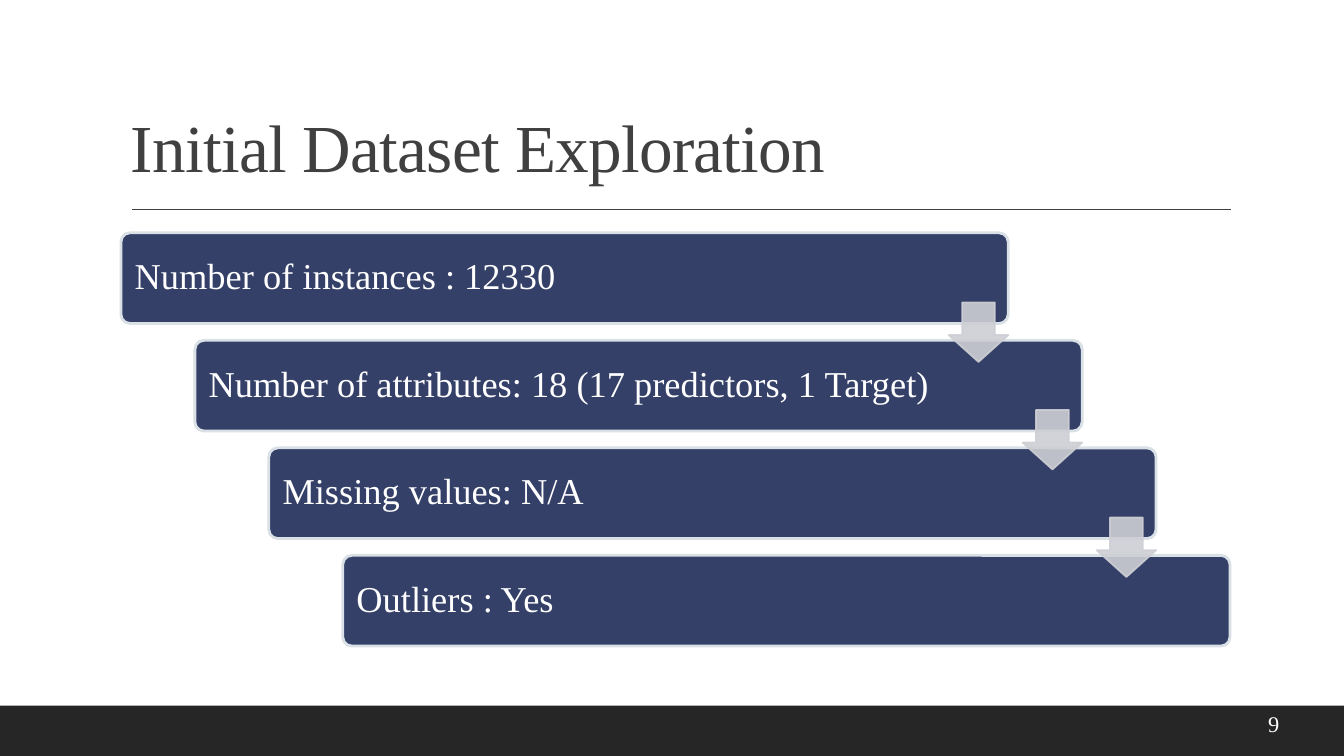
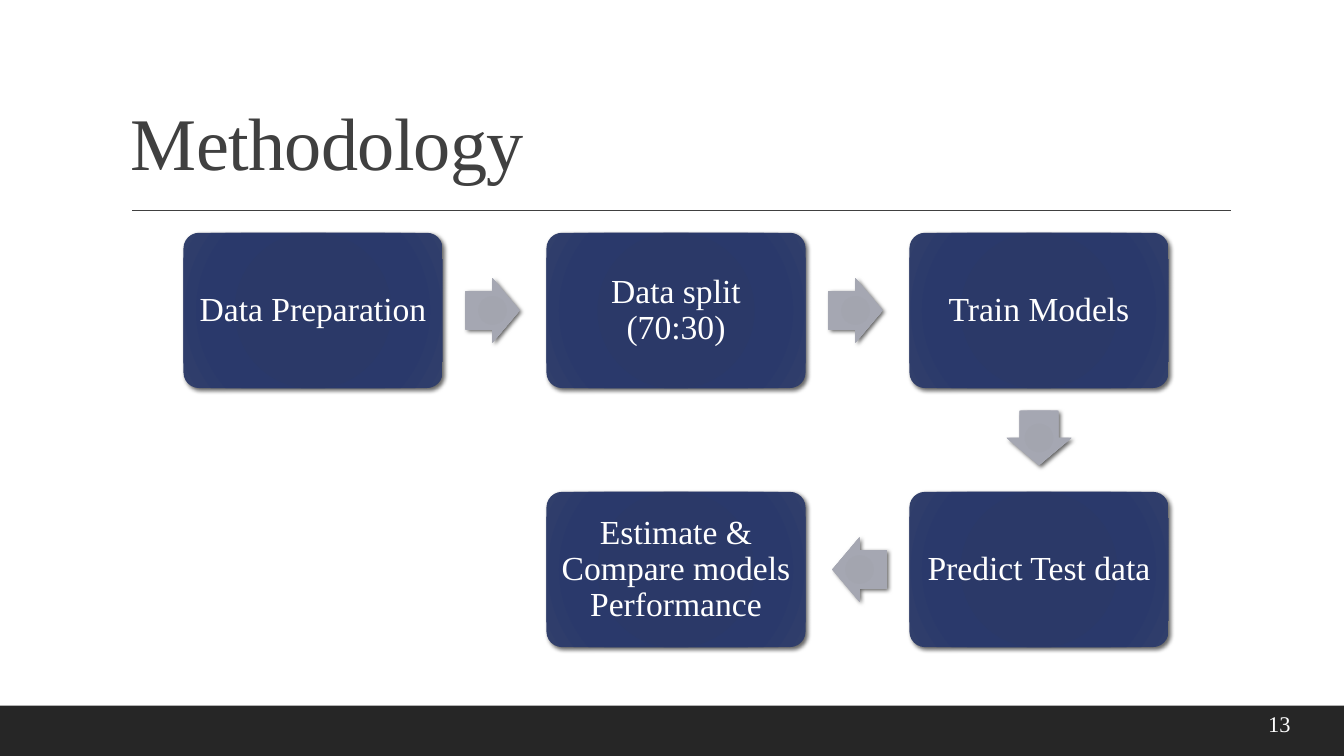
"""Build the dataset overview and the methodology flow slides."""
from dataclasses import dataclass
from itertools import pairwise
from math import atan2, cos, degrees, sin

from lxml.etree import SubElement
from pptx import Presentation
from pptx.dml.color import RGBColor
from pptx.enum.shapes import MSO_CONNECTOR, MSO_SHAPE
from pptx.enum.text import MSO_ANCHOR, PP_ALIGN
from pptx.oxml import parse_xml
from pptx.oxml.ns import nsdecls, qn
from pptx.shapes.autoshape import Shape
from pptx.slide import Slide
from pptx.util import Inches, Pt

HUES = {
    "paper": "FFFFFF",
    "ink": "404040",
    "band": "262626",
    "step": "344068",
    "edge": "D9E0E6",
    "drop": "CECFD4",
    "shade": "000000",
}
NAVY = {0: "293868", 34: "2B3968", 70: "2A396B", 100: "313F6B"}
GREY = {0: "A1A3AE", 34: "A3A5AF", 70: "A5A7B2", 100: "AEAFB9"}
FONT = "Times New Roman"
SIDES = ("margin_left", "margin_top", "margin_right", "margin_bottom")


@dataclass(frozen=True)
class Box:
    left: float
    top: float
    width: float
    height: float

    @property
    def mid(self) -> tuple[float, float]:
        return self.left + self.width / 2, self.top + self.height / 2

    def emu(self) -> tuple[int, ...]:
        return tuple(Inches(n) for n in (self.left, self.top, self.width, self.height))


@dataclass(frozen=True)
class Card:
    text: str
    col: int
    row: int

    @property
    def box(self) -> Box:
        return Box(1.82 + 3.6 * self.col, 2.31 + 2.57 * self.row, 2.57, 1.54)


STEPS = (
    "Number of instances : 12330",
    "Number of attributes: 18 (17 predictors, 1 Target)",
    "Missing values: N/A",
    "Outliers : Yes",
)
CARDS = (
    Card("Data Preparation", 0, 0),
    Card("Data split (70:30)", 1, 0),
    Card("Train Models", 2, 0),
    Card("Predict Test data", 2, 1),
    Card("Estimate & Compare models Performance", 1, 1),
)


def hue(name: str) -> RGBColor:
    return RGBColor.from_string(HUES[name])


def write(shape: Shape, text: str, size: float, tone: str = "paper",
          anchor: MSO_ANCHOR = MSO_ANCHOR.MIDDLE,
          align: PP_ALIGN = PP_ALIGN.LEFT, inset: float | None = None) -> None:
    frame = shape.text_frame
    frame.text = text
    para = frame.paragraphs[0]
    looks = {
        frame: {"word_wrap": True, "vertical_anchor": anchor},
        para: {"alignment": align, "line_spacing": 0.9},
        para.runs[0].font: {"name": FONT, "size": Pt(size)},
    }
    if inset is not None:
        looks[frame].update(dict.fromkeys(SIDES, Inches(inset)))
    for part, look in looks.items():
        for key, value in look.items():
            setattr(part, key, value)
    para.runs[0].font.color.rgb = hue(tone)


def label(slide: Slide, box: Box) -> Shape:
    return slide.shapes.add_textbox(*box.emu())


def block(slide: Slide, kind: MSO_SHAPE, box: Box, *bends: float) -> Shape:
    shape = slide.shapes.add_shape(kind, *box.emu())
    shape.shadow.inherit = False
    for i, bend in enumerate(bends):
        shape.adjustments[i] = bend
    return shape


def paint(shape: Shape, fill: str, edge: str | None = None, width: float = 1) -> None:
    shape.fill.solid()
    shape.fill.fore_color.rgb = hue(fill)
    if edge:
        shape.line.color.rgb = hue(edge)
        shape.line.width = Pt(width)
    else:
        shape.line.fill.background()


def fade(shape: Shape, share: int) -> None:
    for tint in shape.element.spPr.iter(qn("a:srgbClr")):
        SubElement(tint, qn("a:alpha"), val=str(share * 1000))


def glow(shape: Shape, stops: dict[int, str]) -> None:
    shape.line.fill.background()
    props = shape.element.spPr
    marks = "".join(
        f'<a:gs pos="{pos * 1000}"><a:srgbClr val="{tint}"/></a:gs>'
        for pos, tint in stops.items())
    props.find(qn("a:prstGeom")).addnext(parse_xml(
        f'<a:gradFill {nsdecls("a")} rotWithShape="1"><a:gsLst>{marks}</a:gsLst>'
        '<a:path path="circle"><a:fillToRect l="100000" t="100000" '
        'r="100000" b="100000"/></a:path></a:gradFill>'))
    props.find(qn("a:effectLst")).append(parse_xml(
        f'<a:outerShdw {nsdecls("a")} blurRad="{Pt(3)}" dist="{Pt(2)}" '
        f'dir="2700000" rotWithShape="0"><a:srgbClr val="{HUES["shade"]}">'
        '<a:alpha val="60000"/></a:srgbClr></a:outerShdw>'))


def start(deck: Presentation, title: str, size: float, rule: float, page: int) -> Slide:
    slide = deck.slides.add_slide(deck.slide_layouts[6])
    slide.background.fill.solid()
    slide.background.fill.fore_color.rgb = hue("paper")
    head = label(slide, Box(1.2, 0.31, 11, 1.59))
    write(head, title, size, "ink", MSO_ANCHOR.BOTTOM)
    head.text_frame.paragraphs[0].runs[0].font._element.set("spc", "-50")
    line = slide.shapes.add_connector(
        MSO_CONNECTOR.STRAIGHT, *(Inches(n) for n in (1.31, rule, 12.21, rule)))
    line.line.color.rgb = hue("ink")
    line.line.width = Pt(1)
    SubElement(line._element.spPr, qn("a:effectLst"))
    paint(block(slide, MSO_SHAPE.RECTANGLE, Box(0, 7, 13.33, 0.5)), "band")
    write(label(slide, Box(12.48, 7, 0.85, 0.4)), str(page), 16)
    return slide


def stairs(slide: Slide) -> None:
    boxes = [Box(1.2 + 2.2 * i / 3, 2.31 + 3.2 * i / 3, 8.8, 0.9)
             for i in range(len(STEPS))]
    for text, box in zip(STEPS, boxes):
        step = block(slide, MSO_SHAPE.ROUNDED_RECTANGLE, box, 0.1)
        paint(step, "step", "edge", 2)
        write(step, text, 26, inset=0.11)
    side = 0.59
    for box in boxes[:-1]:
        spot = Box(box.left + box.width - side, box.top + 0.69, side, side)
        drop = block(slide, MSO_SHAPE.DOWN_ARROW, spot, 0.55, 0.45)
        paint(drop, "drop", "drop", 1.25)
        fade(drop, 90)


def flow(slide: Slide) -> None:
    for card in CARDS:
        tile = block(slide, MSO_SHAPE.ROUNDED_RECTANGLE, card.box, 0.1)
        glow(tile, NAVY)
        write(tile, card.text, 24, align=PP_ALIGN.CENTER, inset=0.1)
    wide, high, back = 0.54, 0.64, 0.02
    for one, two in pairwise(CARDS):
        (ax, ay), (bx, by) = one.box.mid, two.box.mid
        turn = atan2(by - ay, bx - ax)
        spot = Box((ax + bx - wide) / 2 - back * cos(turn),
                   (ay + by - high) / 2 - back * sin(turn), wide, high)
        arrow = block(slide, MSO_SHAPE.RIGHT_ARROW, spot, 0.6, 0.5)
        arrow.rotation = degrees(turn)
        glow(arrow, GREY)


def main() -> None:
    deck = Presentation()
    deck.slide_width, deck.slide_height = Inches(13.33), Inches(7.5)
    stairs(start(deck, "Initial Dataset Exploration", 48, 2.08, 9))
    flow(start(deck, "Methodology", 53, 2.09, 13))
    deck.save("out.pptx")


if __name__ == "__main__":
    main()
